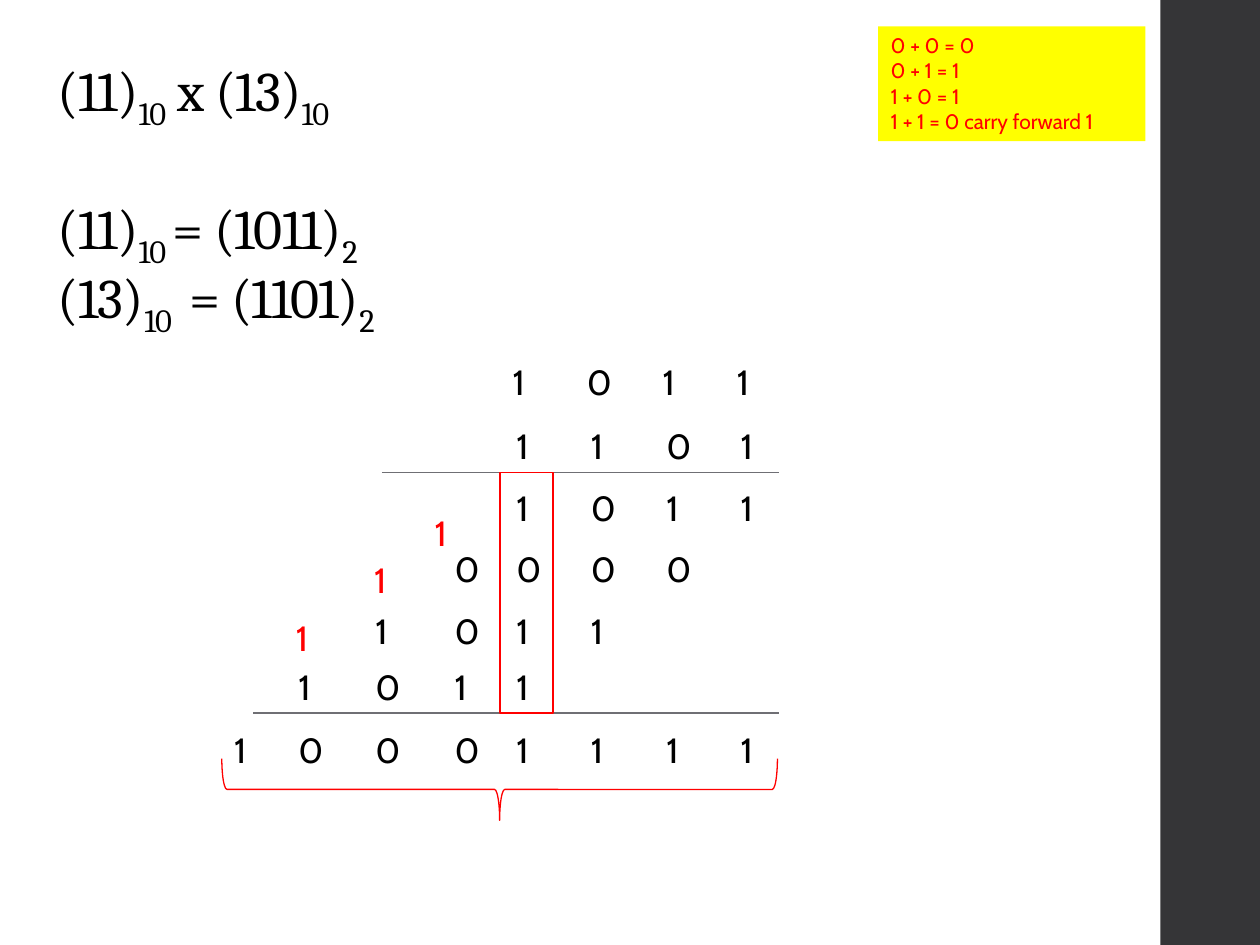
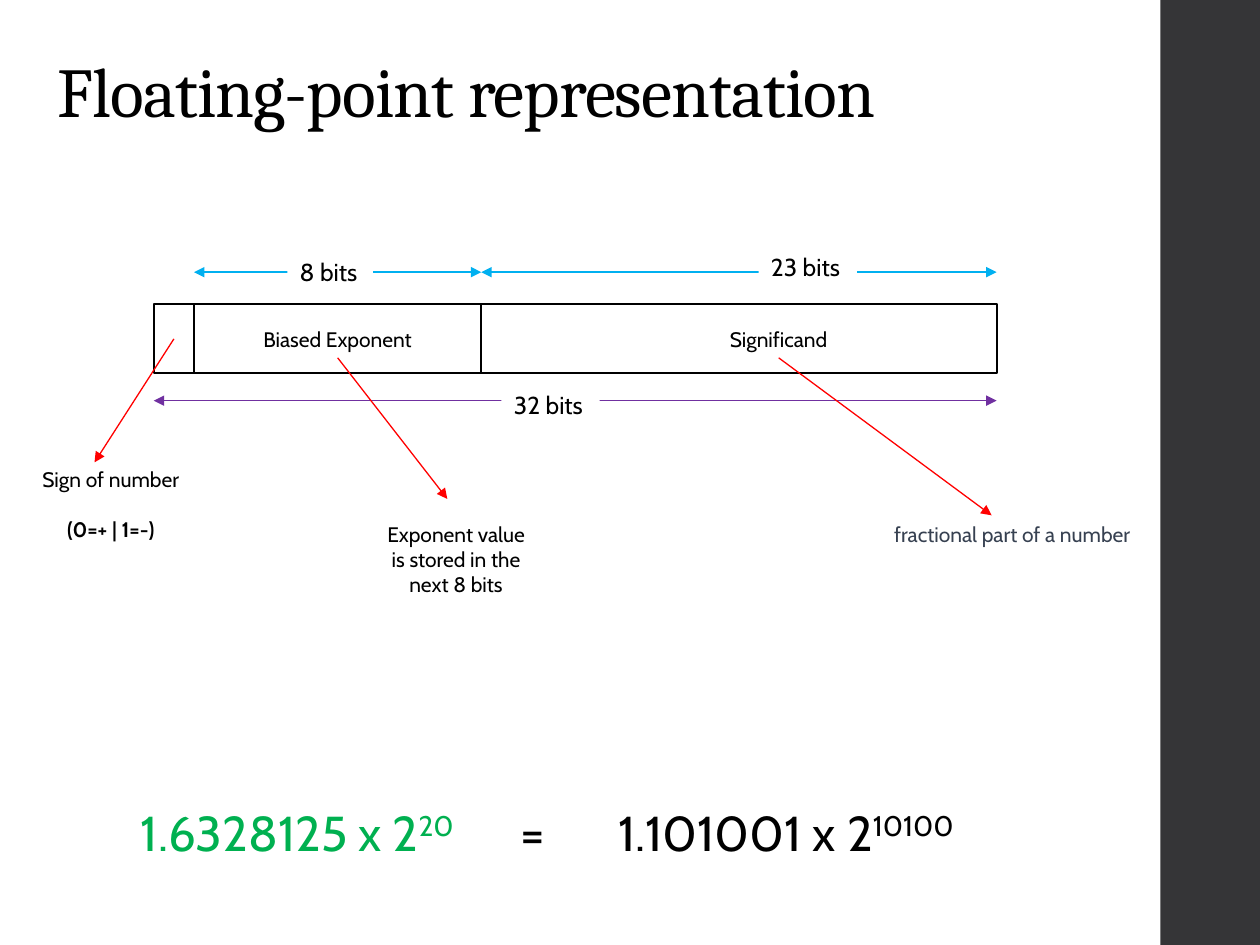
from lxml import etree
from pptx import Presentation
from pptx.dml.color import RGBColor
from pptx.enum import shapes as es, text as et
from pptx.oxml import ns
from pptx.util import Inches, Pt

BLACK = RGBColor(0x00, 0x00, 0x00)
WHITE = RGBColor(0xFF, 0xFF, 0xFF)
RED = RGBColor(0xFF, 0x00, 0x00)
YELLOW = RGBColor(0xFF, 0xFF, 0x00)
GREEN = RGBColor(0x00, 0xB0, 0x50)
BLUE = RGBColor(0x00, 0xB0, 0xF0)
PURPLE = RGBColor(0x70, 0x30, 0xA0)
SLATE = RGBColor(0x37, 0x41, 0x51)
GREY = RGBColor(0x6F, 0x6F, 0x74)
BAND = RGBColor(0x35, 0x35, 0x37)
HEAD, BODY = "Cambria", "Cabin"
LEFT, MID, RIGHT = et.PP_ALIGN.LEFT, et.PP_ALIGN.CENTER, et.PP_ALIGN.RIGHT
BOX, BRACE = es.MSO_SHAPE.RECTANGLE, es.MSO_SHAPE.RIGHT_BRACE
SUB, SUP = -25, 30

# Left edges of the eight binary places
COLS = [1.76, 2.27, 2.88, 3.51, 4, 4.59, 5.19, 5.78]
# Rows of the sum: top, place of the first digit, digits, shift
ROWS = [
    (2.81, 4, "1011", -0.03),
    (3.32, 4, "1101", 0),
    (3.81, 4, "1011", 0),
    (4.3, 3, "0000", 0),
    (4.79, 2, "1011", 0),
    (5.23, 1, "1011", 0),
    (5.73, 0, "10001111", 0),
]
CARRY = [(3.35, 4.01), (2.87, 4.38), (2.25, 4.84)]
RULES = ["0 + 0 = 0", "0 + 1 = 1", "1 + 0 = 1", "1 + 1 = 0 carry forward 1"]

# Left edges of the number's fields, and its right end
SIGN, EXP, FRAC, END = 1.22, 1.54, 3.82, 7.91


def add_run(para, words, size, color, font=BODY, base=0, bold=None):
    run = para.add_run()
    run.text = words
    run.font.size, run.font.name, run.font.bold = Pt(size), font, bold
    run.font.color.rgb = color
    if base:
        run.font._element.set("baseline", str(base * 1000))
    return run


def fill_text(frame, lines, size, color, font=BODY, align=LEFT):
    """Write lines; a line is a string or a list of (words, baseline)."""
    frame.word_wrap = True
    frame.auto_size = et.MSO_AUTO_SIZE.NONE
    frame.vertical_anchor = et.MSO_ANCHOR.TOP
    for i, line in enumerate(lines):
        para = frame.paragraphs[0] if i == 0 else frame.add_paragraph()
        para.alignment = align
        for words, base in [(line, 0)] if isinstance(line, str) else line:
            add_run(para, words, size, color, font, base)
    return frame


def add_title(slide, lines, size, high):
    title = slide.shapes.title
    title.left, title.top = Inches(0.36), Inches(0.4)
    title.width, title.height = Inches(8.63), Inches(high)
    frame = fill_text(title.text_frame, lines, size, BLACK, HEAD)
    for para in frame.paragraphs:
        para.line_spacing = 0.9
        for run in para.runs:
            run.font._element.set("spc", "-50")
    return frame


def add_box(slide, x, y, w, h, fill=None, line=None, wide=1.1, kind=BOX):
    box = slide.shapes.add_shape(kind, Inches(x), Inches(y), Inches(w), Inches(h))
    box.shadow.inherit = False
    if fill is None:
        box.fill.background()
    else:
        box.fill.solid()
        box.fill.fore_color.rgb = fill
    if line is None:
        box.line.fill.background()
    else:
        box.line.color.rgb = line
        box.line.width = Pt(wide)
    return box


def add_text(slide, x, y, w, h, lines, size=12, color=BLACK, align=LEFT):
    box = slide.shapes.add_textbox(Inches(x), Inches(y), Inches(w), Inches(h))
    return fill_text(box.text_frame, lines, size, color, align=align)


def add_line(slide, x1, y1, x2, y2, color, ends=()):
    line = slide.shapes.add_connector(
        es.MSO_CONNECTOR.STRAIGHT, Inches(x1), Inches(y1), Inches(x2), Inches(y2))
    line.line.color.rgb = color
    line.line.width = Pt(0.75)
    props = line._element.spPr
    for end in ends:
        etree.SubElement(props.find(ns.qn("a:ln")), ns.qn("a:" + end), type="triangle")
    etree.SubElement(props, ns.qn("a:effectLst"))


def add_span(slide, x1, x2, y, color, label, x, top, w):
    """Draw a two-headed measure with a label over it."""
    add_line(slide, x1, y, x2, y, color, ("headEnd", "tailEnd"))
    box = add_box(slide, x, top, w, 0.34, WHITE)
    fill_text(box.text_frame, [label], 14, BLACK)


def add_slide(deck):
    slide = deck.slides.add_slide(deck.slide_layouts[5])
    add_box(slide, 9.21, 0, 0.79, 7.5, BAND)
    return slide


def add_digit(slide, x, y, digit, color=BLACK):
    add_text(slide, x, y, 0.35, 0.44, [digit], 20, color)


def make_product(deck):
    slide = add_slide(deck)
    frame = add_title(slide, [
        [("(11)", 0), ("10", SUB), (" x (13)", 0), ("10", SUB)],
        [("(11)", 0), ("10 ", SUB), ("= (1011)", 0), ("2", SUB)],
        [("(13)", 0), ("10 ", SUB), (" = (1101)", 0), ("2", SUB)],
    ], 32, 1.93)
    frame.paragraphs[1].space_before = Pt(39.4)
    for para in (frame.paragraphs[0], frame.paragraphs[2]):
        para.space_before = Pt(0)

    # Long multiplication
    for top, first, digits, shift in ROWS:
        for x, digit in zip(COLS[first:], digits):
            add_digit(slide, x + shift, top, digit)
    for x, y in CARRY:
        add_digit(slide, x, y, "1", RED)
    for x, y in [(3.03, 3.75), (2.01, 5.66)]:
        add_line(slide, x, y, 6.18, y, GREY)

    # Addition rules
    note = add_box(slide, 6.97, 0.21, 2.12, 0.91, YELLOW)
    fill_text(note.text_frame, RULES, 12, RED)

    # Column that carries, and the result
    add_box(slide, 3.97, 3.75, 0.42, 1.91, line=RED)
    brace = add_box(slide, 3.72, 4.06, 0.49, 4.41, line=RED, wide=0.75, kind=BRACE)
    brace.rotation = 90


def make_float(deck):
    slide = add_slide(deck)
    add_title(slide, ["Floating-point representation"], 40, 0.71)

    # Fields of the number
    for x, stop in [(SIGN, EXP), (EXP, FRAC), (FRAC, END)]:
        add_box(slide, x, 2.41, stop - x, 0.55, WHITE, BLACK)
    for x, name in [(1.66, "Biased Exponent"), (5.16, "Significand")]:
        add_text(slide, x, 2.54, 2.04, 0.3, [name], align=MID)

    # Widths in bits
    add_span(slide, EXP, FRAC, 2.16, BLUE, "8 bits", 2.28, 1.99, 0.68)
    add_span(slide, FRAC, END, 2.16, BLUE, "23 bits", 6.02, 1.95, 0.78)
    add_span(slide, SIGN, END, 3.18, PURPLE, "32 bits", 3.98, 3.05, 0.78)

    # Meaning of each field
    for ends in [(1.38, 2.69, 0.75, 3.67), (2.68, 2.84, 3.55, 3.96),
                 (6.18, 2.84, 7.87, 4.09)]:
        add_line(slide, *ends, RED, ("tailEnd",))
    sign = add_text(slide, 0.21, 3.65, 1.34, 0.71,
                    ["Sign of number", "(0=+ | 1=-)"], align=MID)
    sign.paragraphs[1].space_before = Pt(14.4)
    sign.paragraphs[1].runs[0].font.bold = True
    add_text(slide, 2.95, 4.09, 1.34, 0.71,
             ["Exponent value is stored in the next 8 bits"], align=MID)
    add_text(slide, 6.65, 4.09, 2.42, 0.3,
             ["fractional part of a number"], color=SLATE, align=RIGHT)

    # Example
    for x, w, parts, color in [
        (1.02, 2.97, [("1.6328125 x 2", 0), ("20", SUP)], GREEN),
        (4.03, 0.49, [("=", 0)], BLACK),
        (4.81, 3.77, [("1.101001 x 2", 0), ("10100", SUP)], BLACK),
    ]:
        add_text(slide, x, 6.32, w, 0.57, [parts], 28, color)


def main():
    deck = Presentation()
    deck.slide_width, deck.slide_height = Inches(10), Inches(7.5)
    make_product(deck)
    make_float(deck)
    deck.save("out.pptx")


if __name__ == "__main__":
    main()
